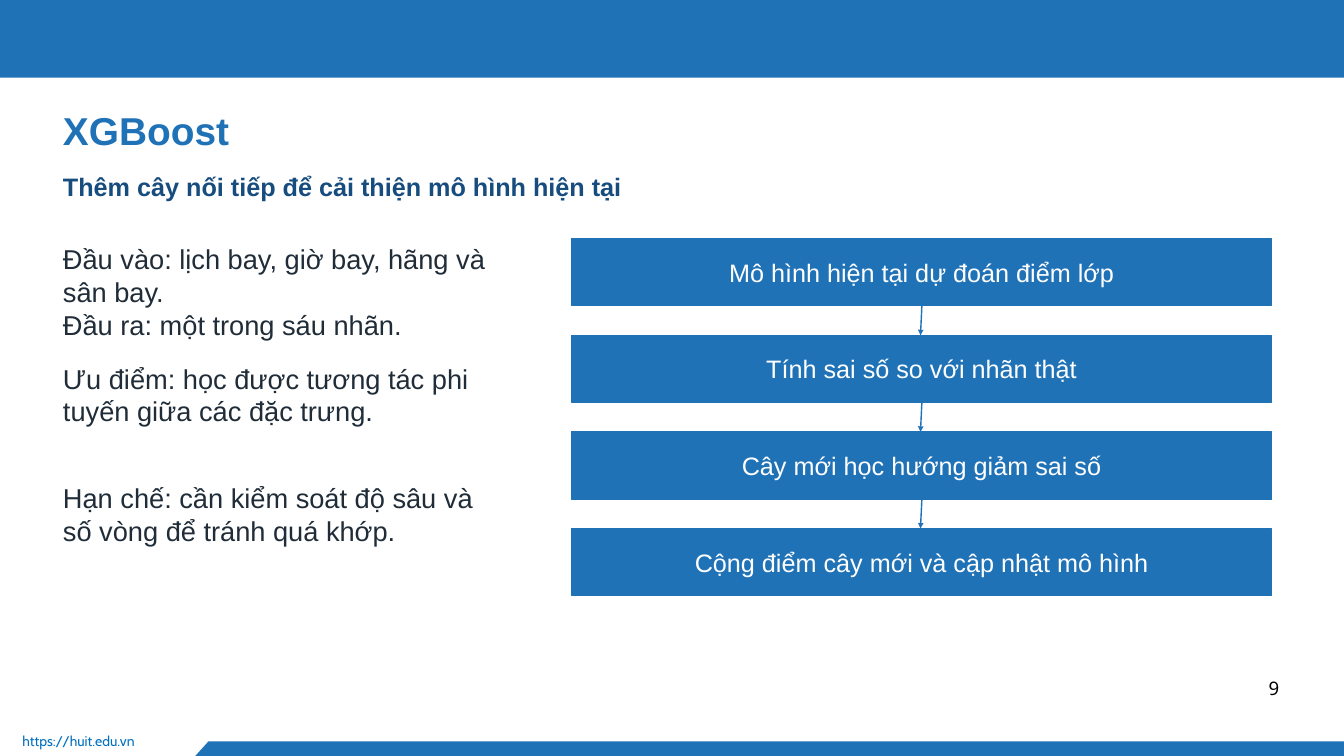
from lxml.etree import SubElement
from pptx import Presentation
from pptx.dml.color import RGBColor
from pptx.enum.shapes import MSO_CONNECTOR as CONNECTOR, MSO_SHAPE as SHAPE
from pptx.enum.text import MSO_ANCHOR as ANCHOR, MSO_AUTO_SIZE as AUTO_SIZE, PP_ALIGN as ALIGN
from pptx.oxml.ns import qn
from pptx.util import Pt

TITLE = "XGBoost"
SUBTITLE = "Thêm cây nối tiếp để cải thiện mô hình hiện tại"
NOTES = [
    ["Đầu vào: lịch bay, giờ bay, hãng và sân bay.", "Đầu ra: một trong sáu nhãn."],
    ["Ưu điểm: học được tương tác phi tuyến giữa các đặc trưng."],
    ["Hạn chế: cần kiểm soát độ sâu và số vòng để tránh quá khớp."],
]
STEPS = [
    "Mô hình hiện tại dự đoán điểm lớp",
    "Tính sai số so với nhãn thật",
    "Cây mới học hướng giảm sai số",
    "Cộng điểm cây mới và cập nhật mô hình",
]
WEBSITE = "https://huit.edu.vn"
PAGE = "9"

COLORS = {
    "blue": "2072B7", "navy": "174C7E", "ink": "202D39",
    "link": "0070C0", "black": "000000", "white": "FFFFFF",
}
PX = 9525
WIDTH, HEIGHT = 1920, 1080
MARGIN = 90
FOOTER = [(298, 1059), (WIDTH, 1059), (WIDTH, HEIGHT), (279, HEIGHT)]
NOTE_TOP, NOTE_PITCH = 346, 171
STEP_LEFT, STEP_TOP, STEP_WIDTH, STEP_HEIGHT, STEP_PITCH = 817, 341, 999, 96, 138
ARROW_START, ARROW_END = 1317, 1315


def px(*values):
    return [value * PX for value in values]


def color(name):
    return RGBColor.from_string(COLORS[name])


def write(shape, lines, size, spacing, ink, font="Arial", bold=False,
          align=ALIGN.LEFT, anchor=ANCHOR.TOP, inset=0, wrap=True):
    frame = shape.text_frame
    frame.text = "\n".join(lines)
    frame.word_wrap = wrap
    frame.auto_size = AUTO_SIZE.NONE
    frame.vertical_anchor = anchor
    frame.margin_left = frame.margin_right = frame.margin_top = frame.margin_bottom = inset * PX
    for paragraph in frame.paragraphs:
        paragraph.alignment = align
        paragraph.line_spacing = Pt(spacing)
        paragraph.font.name = font
        paragraph.font.size = Pt(size)
        paragraph.font.bold = bold
        paragraph.font.color.rgb = color(ink)


def paint(shape, outlined=False):
    shape.shadow.inherit = False
    shape.fill.solid()
    shape.fill.fore_color.rgb = color("blue")
    if outlined:
        shape.line.color.rgb = color("blue")
        shape.line.width = Pt(1.13)
    else:
        shape.line.fill.background()


def add_arrow(shapes, top, bottom):
    arrow = shapes.add_connector(CONNECTOR.STRAIGHT, *px(ARROW_START, top, ARROW_END, bottom))
    arrow.line.color.rgb = color("blue")
    arrow.line.width = Pt(1.5)
    SubElement(arrow.line._get_or_add_ln(), qn("a:tailEnd"), type="triangle")
    SubElement(arrow._element.spPr, qn("a:effectLst"))


def main():
    deck = Presentation()
    deck.slide_width, deck.slide_height = px(WIDTH, HEIGHT)
    slide = deck.slides.add_slide(deck.slide_layouts[5])
    shapes = slide.shapes

    paint(shapes.add_shape(SHAPE.RECTANGLE, *px(0, -1, WIDTH, 112)))
    builder = shapes.build_freeform(*FOOTER[0], scale=PX)
    builder.add_line_segments(FOOTER[1:], close=True)
    paint(builder.convert_to_shape())

    title = shapes.title
    title.left, title.top, title.width, title.height = px(MARGIN, 152, 1740, 88)
    write(title, [TITLE], 41.6, 49.9, "blue", bold=True)

    subtitle = shapes.add_textbox(*px(MARGIN, 245, 1740, 70))
    write(subtitle, [SUBTITLE], 27, 32.4, "navy", bold=True)

    for i, lines in enumerate(NOTES):
        note = shapes.add_textbox(*px(MARGIN, NOTE_TOP + i * NOTE_PITCH, 637, 147))
        write(note, lines, 29.2, 35.1, "ink")

    website = shapes.add_textbox(*px(32, 1046, 237, 38))
    write(website, [WEBSITE], 15, 18, "link", font="Cabin")
    page = shapes.add_textbox(*px(1812, 962, 16, 26))
    write(page, [PAGE], 20, 28, "black", font="Noto Sans", align=ALIGN.CENTER, wrap=False)

    for i, text in enumerate(STEPS):
        top = STEP_TOP + i * STEP_PITCH
        if i:
            add_arrow(shapes, top - STEP_PITCH + STEP_HEIGHT, top)
        step = shapes.add_shape(SHAPE.RECTANGLE, *px(STEP_LEFT, top, STEP_WIDTH, STEP_HEIGHT))
        paint(step, outlined=True)
        write(step, [text], 27, 32.4, "white", align=ALIGN.CENTER, anchor=ANCHOR.MIDDLE, inset=6)

    deck.save("out.pptx")


if __name__ == "__main__":
    main()
